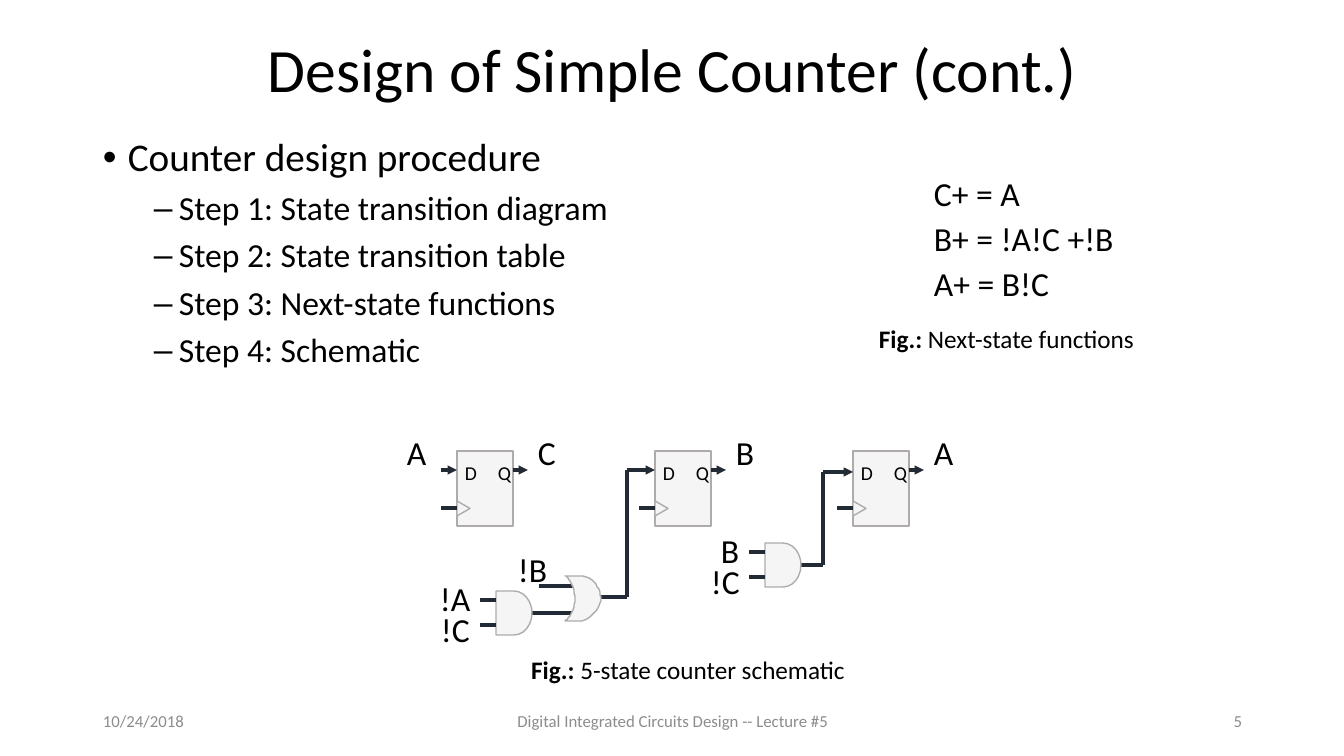
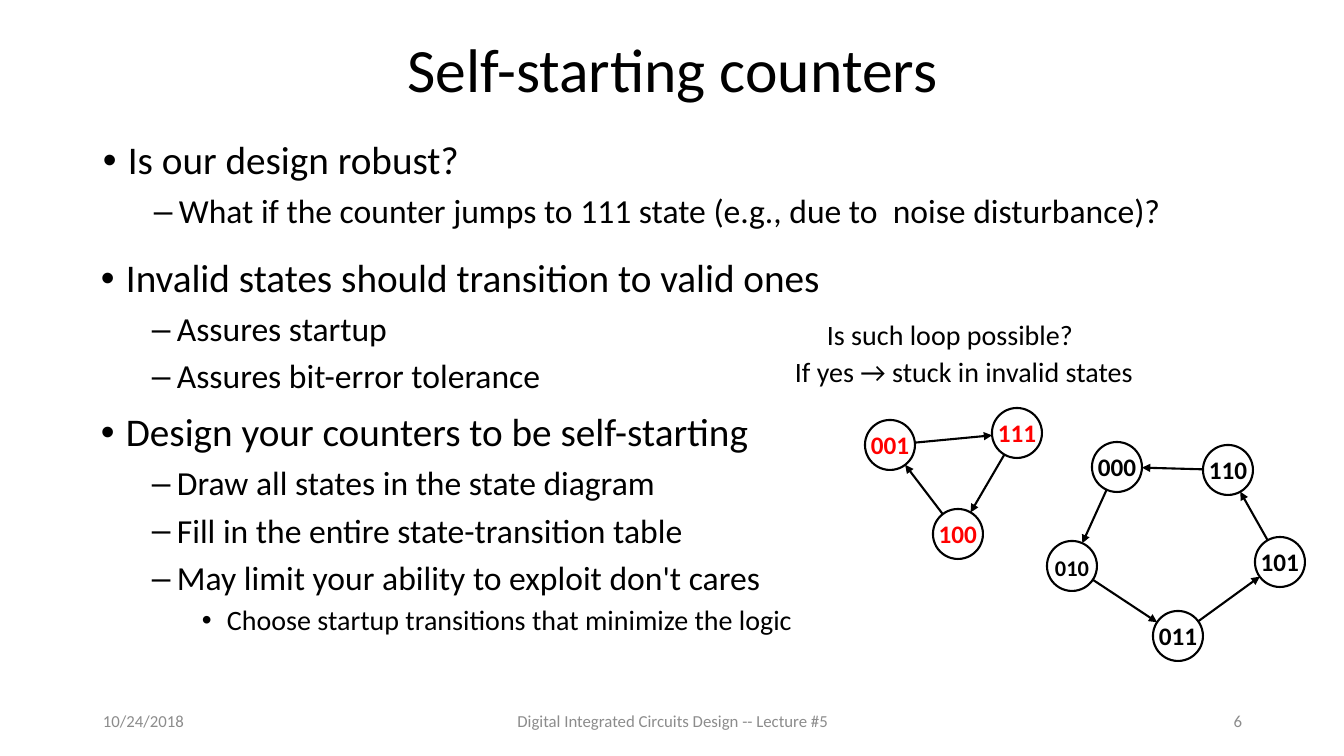
from dataclasses import dataclass
from itertools import pairwise
from math import hypot

from lxml import etree
from pptx import Presentation
from pptx.dml.color import RGBColor
from pptx.enum.shapes import MSO_CONNECTOR, MSO_SHAPE
from pptx.enum.text import MSO_ANCHOR, MSO_AUTO_SIZE, PP_ALIGN
from pptx.oxml.ns import qn
from pptx.util import Emu, Pt

SCALE = 914400 / 100.8  # EMU per pixel


@dataclass(frozen=True)
class Theme:
    font: str = "Calibri"
    bullet_font: str = "Arial"
    ink: str = "000000"
    alert: str = "FF0000"
    muted: str = "8C8C8C"
    paper: str = "FFFFFF"
    gate_fill: str = "F5F5F5"
    gate_line: str = "AFABAB"
    wire: str = "222A35"
    title: int = 44
    label: int = 24
    note: int = 20
    caption: int = 18
    pin: int = 14
    footer: int = 12
    wire_width: float = 2.25
    state_width: float = 1.5


T = Theme()
LEFT, CENTER, RIGHT = PP_ALIGN.LEFT, PP_ALIGN.CENTER, PP_ALIGN.RIGHT
TOP, MIDDLE = MSO_ANCHOR.TOP, MSO_ANCHOR.MIDDLE

# Outline levels: bullet, size, space before, left margin in pixels
LEVELS = [("•", 28, 12, 25), ("–", 24, 8, 76), ("•", 20, 6, 126)]
HANG = 25

# Shared content
SIZE = (1344, 756)
TITLE_BOX = (93, 33, 1159, 80)
DATE = "10/24/2018"
COURSE = "Digital Integrated Circuits Design -- Lecture #5"

# Counter slide
PROCEDURE = [
    (0, "Counter design procedure"),
    (1, "Step 1: State transition diagram"),
    (1, "Step 2: State transition table"),
    (1, "Step 3: Next-state functions"),
    (1, "Step 4: Schematic"),
]
FUNCTIONS = [("C+ = A", 107), ("B+ = !A!C +!B", 202), ("A+ = B!C", 137)]
CAPTIONS = [
    ("Next-state functions", (868, 318, 277, 40)),
    ("5-state counter schematic", (519, 649, 338, 40)),
]
FLIP_FLOPS = [("C", 470), ("B", 470), ("A", 472)]  # output, height of D input
AND_GATES = [(765, 543), (496, 591)]
WIRES = [
    [(841, 472), (823, 472), (823, 565), (801, 565)],
    [(643, 470), (627, 470), (627, 597), (601, 597)],
    [(539, 586), (574, 586)],
    [(532, 613), (574, 613)],
]
SIGNALS = [
    ("A", 397, 427, 40), ("B", 711, 525, 40), ("!C", 701, 556, 51),
    ("!B", 508, 544, 51), ("!A", 430, 573, 51), ("!C", 431, 604, 51),
]
# OR outline: a point is a line end, three points are a Bezier curve
OR_OUTLINE = [
    [(580, 576)], [(565, 576)],
    [(568, 577), (575, 586), (575, 599)],
    [(575, 611), (568, 619), (565, 621)],
    [(579, 621)],
    [(591, 622), (600, 606), (601, 599)],
    [(601, 591), (594, 576), (580, 576)],
]

# Self-starting slide
ROBUST = [
    (0, "Is our design robust?"),
    (1, "What if the counter jumps to 111 state (e.g., due to  noise disturbance)?"),
]
SELF_START = [
    (0, "Invalid states should transition to valid ones"),
    (1, "Assures startup"),
    (1, "Assures bit-error tolerance"),
    (0, "Design your counters to be self-starting"),
    (1, "Draw all states in the state diagram"),
    (1, "Fill in the entire state-transition table"),
    (1, "May limit your ability to exploit don't cares"),
    (2, "Choose startup transitions that minimize the logic"),
]
NOTES = [
    ("Is such loop possible?", (822, 313, 256, 64), CENTER),
    ("If yes → stuck in invalid states", (793, 350, 349, 46), LEFT),
]
# Each loop lists its states (name, centre, size) in transition order
INVALID_LOOP = [("001", (890, 445), 18), ("111", (1017, 433), 18),
                ("100", (958, 534), 18)]
VALID_LOOP = [("000", (1117, 467), 18), ("010", (1072, 566), 16),
              ("011", (1178, 636), 18), ("101", (1280, 562), 18),
              ("110", (1228, 470), 18)]
RADIUS = 25


# Basic helpers
def px(v):
    return Emu(round(v * SCALE))


def rgb(value):
    return RGBColor.from_string(value)


def style(p, size, color=T.ink, bold=None):
    p.font.name, p.font.size, p.font.bold = T.font, Pt(size), bold
    p.font.color.rgb = rgb(color)


def text_frame(s, box, wrap=False, anchor=TOP, grow=False):
    tf = s.shapes.add_textbox(*map(px, box)).text_frame
    tf.word_wrap, tf.vertical_anchor = wrap, anchor
    if grow:
        tf.auto_size = MSO_AUTO_SIZE.SHAPE_TO_FIT_TEXT
    return tf


def add_text(s, text, box, size, color=T.ink, align=LEFT, anchor=TOP,
             wrap=False, spacing=None, grow=False):
    tf = text_frame(s, box, wrap, anchor, grow)
    p = tf.paragraphs[0]
    p.text, p.alignment, p.line_spacing = text, align, spacing
    style(p, size, color)
    return tf


def add_label(s, text, box):
    add_text(s, text, box, T.label, grow=True)


def add_outline(s, items, box):
    tf = text_frame(s, box, wrap=True)
    for i, (level, text) in enumerate(items):
        bullet, size, before, margin = LEVELS[level]
        p = tf.add_paragraph() if i else tf.paragraphs[0]
        p.text, p.level = text, level
        p.line_spacing, p.space_before = 0.9, Pt(before)
        style(p, size)
        pPr = p._p.get_or_add_pPr()
        pPr.set("marL", str(px(margin)))
        pPr.set("indent", str(px(-HANG)))
        font = etree.Element(qn("a:buFont"), typeface=T.bullet_font)
        char = etree.Element(qn("a:buChar"), char=bullet)
        pPr.find(qn("a:defRPr")).addprevious(font)
        font.addnext(char)


def add_caption(s, text, box):
    p = text_frame(s, box, grow=True).paragraphs[0]
    p.alignment = CENTER
    style(p, T.caption)
    for part, bold in (("Fig.: ", True), (text, False)):
        r = p.add_run()
        r.text, r.font.bold = part, bold


def paint(sp, fill, line, width):
    sp.shadow.inherit = False
    sp.fill.solid()
    sp.fill.fore_color.rgb = rgb(fill)
    sp.line.color.rgb = rgb(line)
    sp.line.width = Pt(width)
    return sp


def add_part(s, kind, box):
    sp = s.shapes.add_shape(kind, *map(px, box))
    return paint(sp, T.gate_fill, T.gate_line, 1)


def add_line(s, start, end, color=T.wire, width=T.wire_width, arrow=False):
    c = s.shapes.add_connector(MSO_CONNECTOR.STRAIGHT, *map(px, (*start, *end)))
    c.line.color.rgb, c.line.width = rgb(color), Pt(width)
    if arrow:
        etree.SubElement(c.line._get_or_add_ln(), qn("a:tailEnd"), type="triangle")
    etree.SubElement(c._element.spPr, qn("a:effectLst"))


def new_slide(prs, title, number):
    s = prs.slides.add_slide(prs.slide_layouts[6])
    add_text(s, title, TITLE_BOX, T.title, align=CENTER, anchor=MIDDLE,
             wrap=True, spacing=0.9)
    for text, x, w, align in ((DATE, 93, 302, LEFT), (COURSE, 446, 454, CENTER),
                              (str(number), 950, 302, RIGHT)):
        add_text(s, text, (x, 701, w, 40), T.footer, T.muted, align, MIDDLE, True)
    return s


# Schematic parts
def add_flip_flop(s, x, output, d_y):
    add_part(s, MSO_SHAPE.RECTANGLE, (x, 451, 56, 75))
    clock = add_part(s, MSO_SHAPE.ISOSCELES_TRIANGLE, (x - 1, 502, 15, 13))
    clock.rotation = 90
    add_line(s, (x - 16, d_y), (x, d_y), arrow=True)
    add_line(s, (x - 16, 508), (x, 508))
    add_line(s, (x + 56, 470), (x + 71, 470), arrow=True)
    for pin, dx in (("D", -2), ("Q", 31)):
        add_text(s, pin, (x + dx, 459, 27, 27), T.pin, align=CENTER, anchor=MIDDLE)
    add_label(s, output, (x + 71, 427, 40, 50))


def add_and_gate(s, x, y):
    add_part(s, MSO_SHAPE.FLOWCHART_DELAY, (x, y, 36, 44))
    for dy in (9, 34):
        add_line(s, (x - 16, y + dy), (x, y + dy))


def bezier(a, b, c, d, steps=12):
    for i in range(1, steps + 1):
        t = i / steps
        u = 1 - t
        yield tuple(u**3 * e + 3 * u * u * t * f + 3 * u * t * t * g + t**3 * h
                    for e, f, g, h in zip(a, b, c, d))


def add_or_gate(s):
    points = []
    for piece in OR_OUTLINE:
        points += bezier(points[-1], *piece) if len(piece) == 3 else piece
    fb = s.shapes.build_freeform(*points[0], scale=SCALE)
    fb.add_line_segments(points[1:], close=True)
    paint(fb.convert_to_shape(), T.gate_fill, T.gate_line, 1)


# State diagram
def add_loop(s, states, color):
    for name, (x, y), size in states:
        box = (x - RADIUS, y - RADIUS, 2 * RADIUS, 2 * RADIUS)
        sp = s.shapes.add_shape(MSO_SHAPE.OVAL, *map(px, box))
        paint(sp, T.paper, T.ink, T.state_width)
        tf = sp.text_frame
        tf.margin_left = tf.margin_right = tf.margin_top = tf.margin_bottom = 0
        tf.word_wrap, tf.vertical_anchor = False, MIDDLE
        p = tf.paragraphs[0]
        p.text, p.alignment, p.line_spacing = name, CENTER, Pt(21)
        style(p, size, color, bold=True)
    centres = [centre for _, centre, _ in states]
    for (x1, y1), (x2, y2) in pairwise(centres + centres[:1]):
        k = RADIUS / hypot(x2 - x1, y2 - y1)
        dx, dy = k * (x2 - x1), k * (y2 - y1)
        add_line(s, (x1 + dx, y1 + dy), (x2 - dx, y2 - dy),
                 T.ink, T.state_width, arrow=True)


prs = Presentation()
prs.slide_width, prs.slide_height = map(px, SIZE)

# Slide: counter schematic
s = new_slide(prs, "Design of Simple Counter (cont.)", 5)
add_outline(s, PROCEDURE, (93, 133, 587, 246))
for i, (text, w) in enumerate(FUNCTIONS):
    add_label(s, text, (924, 168 + 45 * i, w, 50))
for text, box in CAPTIONS:
    add_caption(s, text, box)
for i, (output, d_y) in enumerate(FLIP_FLOPS):
    add_flip_flop(s, 457 + 198 * i, output, d_y)
for route in WIRES:
    for start, end in pairwise(route):
        add_line(s, start, end)
for x, y in AND_GATES:
    add_and_gate(s, x, y)
add_or_gate(s)
for text, x, y, w in SIGNALS:
    add_label(s, text, (x, y, w, 50))

# Slide: self-starting counters
s = new_slide(prs, "Self-starting counters", 6)
add_outline(s, ROBUST, (93, 136, 1159, 114))
add_outline(s, SELF_START, (91, 254, 742, 440))
for text, box, align in NOTES:
    tf = add_text(s, text, box, T.note, align=align, spacing=1.05)
    tf.margin_left = tf.margin_right = px(2)
    tf.margin_top = tf.margin_bottom = px(3)
add_loop(s, INVALID_LOOP, T.alert)
add_loop(s, VALID_LOOP, T.ink)

prs.save("out.pptx")
